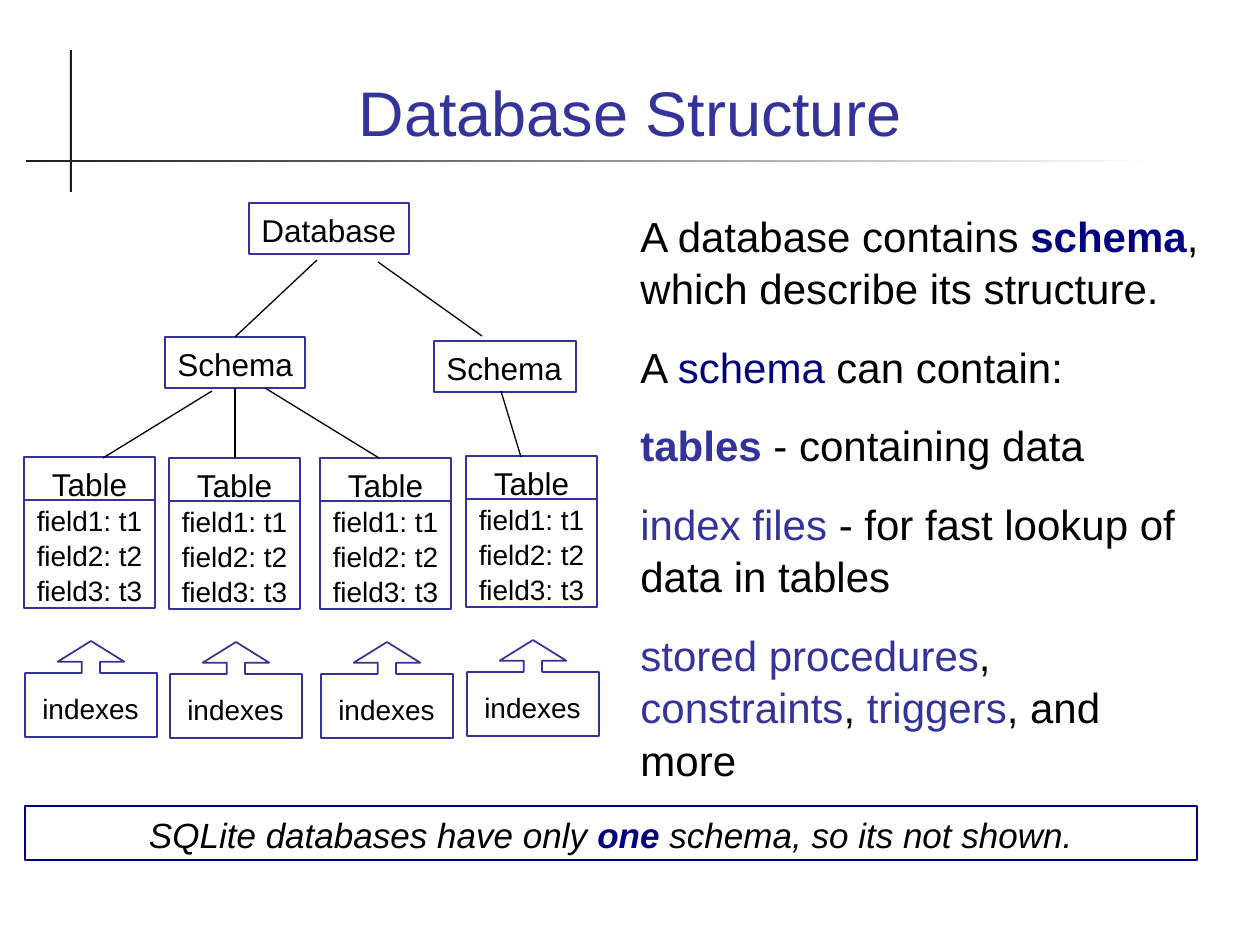
from lxml import etree
from pptx import Presentation
from pptx.dml.color import RGBColor
from pptx.enum.shapes import MSO_CONNECTOR, MSO_SHAPE
from pptx.enum.text import MSO_ANCHOR, PP_ALIGN
from pptx.oxml.ns import qn
from pptx.util import Pt

RECTANGLE = MSO_SHAPE.RECTANGLE
CALLOUT = MSO_SHAPE.UP_ARROW_CALLOUT
STRAIGHT = MSO_CONNECTOR.STRAIGHT
LEFT, CENTER = PP_ALIGN.LEFT, PP_ALIGN.CENTER
TOP, BOTTOM = MSO_ANCHOR.TOP, MSO_ANCHOR.BOTTOM
TOP_SIDE, BOTTOM_SIDE = 0, 2

FONT = "Arial"
COLORS = {"ink": "000000", "blue": "333399", "navy": "000080",
          "rule": "1C1C1C", "white": "FFFFFF"}
PX = 914400 / 126  # EMU in one px


def px(*lengths):
    return [round(length * PX) for length in lengths]


def color(name):
    return RGBColor.from_string(COLORS[name])


def write(shape, paragraphs, size=18, align=LEFT, anchor=TOP, wrap=True,
          before=0, spacing=1.04, italic=False, ink="ink", first_size=None):
    """Each paragraph is a string or a list of (text, color, bold) runs."""
    frame = shape.text_frame
    frame.word_wrap = wrap
    frame.vertical_anchor = anchor
    for index, runs in enumerate(paragraphs):
        paragraph = frame.paragraphs[0] if index == 0 else frame.add_paragraph()
        paragraph.alignment = align
        paragraph.line_spacing = spacing
        paragraph.space_before = Pt(before if index else 0)
        for text, name, bold in [(runs, ink, False)] if isinstance(runs, str) else runs:
            run = paragraph.add_run()
            run.text = text
            font = run.font
            font.name = FONT
            font.size = Pt(first_size if first_size and index == 0 else size)
            font.bold, font.italic = bold, italic
            font.color.rgb = color(name)


def add_outline(shapes, kind, box, line="blue", width=1):
    shape = shapes.add_shape(kind, *px(*box))
    shape.shadow.inherit = False
    shape.fill.background()
    shape.line.color.rgb = color(line)
    shape.line.width = Pt(width)
    return shape


def add_line(shapes, start, end, line="ink", width=0.75):
    connector = shapes.add_connector(STRAIGHT, *px(*start, *end))
    connector.line.color.rgb = color(line)
    connector.line.width = Pt(width)
    properties = connector._element.spPr
    etree.SubElement(properties, qn("a:effectLst"))
    return connector


def add_title(slide, left, top, width, height):
    # Crossed rules: solid upright, fading across
    rules = slide.shapes.add_group_shape().shapes
    upright = rules.add_shape(RECTANGLE, *px(left - 14, top + 15, 2, 142))
    across = rules.add_shape(RECTANGLE, *px(left - 58, top + 125, 1131, 2))
    for rule in (upright, across):
        rule.shadow.inherit = False
        rule.line.fill.background()
    upright.fill.solid()
    upright.fill.fore_color.rgb = color("rule")
    across.fill.gradient()
    across.fill.gradient_angle = 0
    for stop, name in zip(across.fill.gradient_stops, ("rule", "white")):
        stop.color.rgb = color(name)

    title = slide.shapes.add_textbox(*px(left, top, width, height))
    write(title, ["Database Structure"], size=36, align=CENTER, anchor=BOTTOM,
          spacing=1, ink="blue")


def add_node(slide, text, left, top, width, height=51):
    node = add_outline(slide.shapes, RECTANGLE, (left, top, width, height))
    write(node, [text], wrap=False)
    return node


def add_table_node(slide, left, top):
    # Table card with a line below its heading
    card = slide.shapes.add_group_shape().shapes
    body = add_outline(card, RECTANGLE, (left, top, 131, 151))
    fields = [f"field{number}: t{number}" for number in (1, 2, 3)]
    write(body, ["Table"] + fields, size=16, first_size=18, align=CENTER, wrap=False)
    add_line(card, (left - 1, top + 43), (left + 130, top + 43), "blue", 1)

    # Index callout pointing up at the table
    callout = add_outline(slide.shapes, CALLOUT, (left + 1, top + 184, 132, 96))
    for index, value in enumerate((0.19, 0.346, 0.215, 0.667)):
        callout.adjustments[index] = value
    label = slide.shapes.add_textbox(*px(left + 2, top + 227, 129, 47))
    write(label, ["indexes"], size=16, align=CENTER)


def add_tree(slide, left, top):
    add_node(slide, "Database", left + 225, top, 160)
    first_schema = add_node(slide, "Schema", left + 141, top + 134, 140)
    add_node(slide, "Schema", left + 410, top + 138, 142)
    for x, y in ((0, 254), (145, 255), (296, 255), (442, 253)):
        add_table_node(slide, left + x, top + y)

    # Branches
    def branch(x1, y1, x2, y2):
        return add_line(slide.shapes, (left + x1, top + y1), (left + x2, top + y2))

    branch(293, 57, 211, 134).end_connect(first_schema, TOP_SIDE)
    branch(211, 185, 211, 255).begin_connect(first_schema, BOTTOM_SIDE)
    branch(188, 188, 79, 255)
    branch(241, 185, 355, 255)
    branch(354, 59, 458, 133)
    branch(477, 188, 497, 254)


def add_explanation(slide, *box):
    text_box = slide.shapes.add_textbox(*px(*box))
    write(text_box, [
        [("A database contains ", "ink", False), ("schema", "navy", True),
         (", which describe its structure.", "ink", False)],
        [("A ", "ink", False), ("schema", "navy", False),
         (" can contain:", "ink", False)],
        [("tables", "blue", True), (" - containing data", "ink", False)],
        [("index files", "blue", False),
         (" - for fast lookup of data in tables", "ink", False)],
        [("stored procedures", "blue", False), (", ", "ink", False),
         ("constraints", "blue", False), (", ", "ink", False),
         ("triggers", "blue", False), (", and more", "ink", False)],
    ], size=24, before=15)


def add_note(slide, *box):
    note = add_outline(slide.shapes, RECTANGLE, box, "navy", 0.75)
    write(note, [[("SQLite databases have only ", "ink", False), ("one", "navy", True),
                  (" schema, so its not shown.", "ink", False)]],
          size=20, align=CENTER, italic=True)


def main():
    presentation = Presentation()
    presentation.slide_width, presentation.slide_height = px(1260, 945)
    slide = presentation.slides.add_slide(presentation.slide_layouts[6])
    add_title(slide, 84, 35, 1092, 120)
    add_tree(slide, 24, 203)
    add_explanation(slide, 628, 202, 586, 572)
    add_note(slide, 25, 806, 1172, 54)
    presentation.save("out.pptx")


if __name__ == "__main__":
    main()
